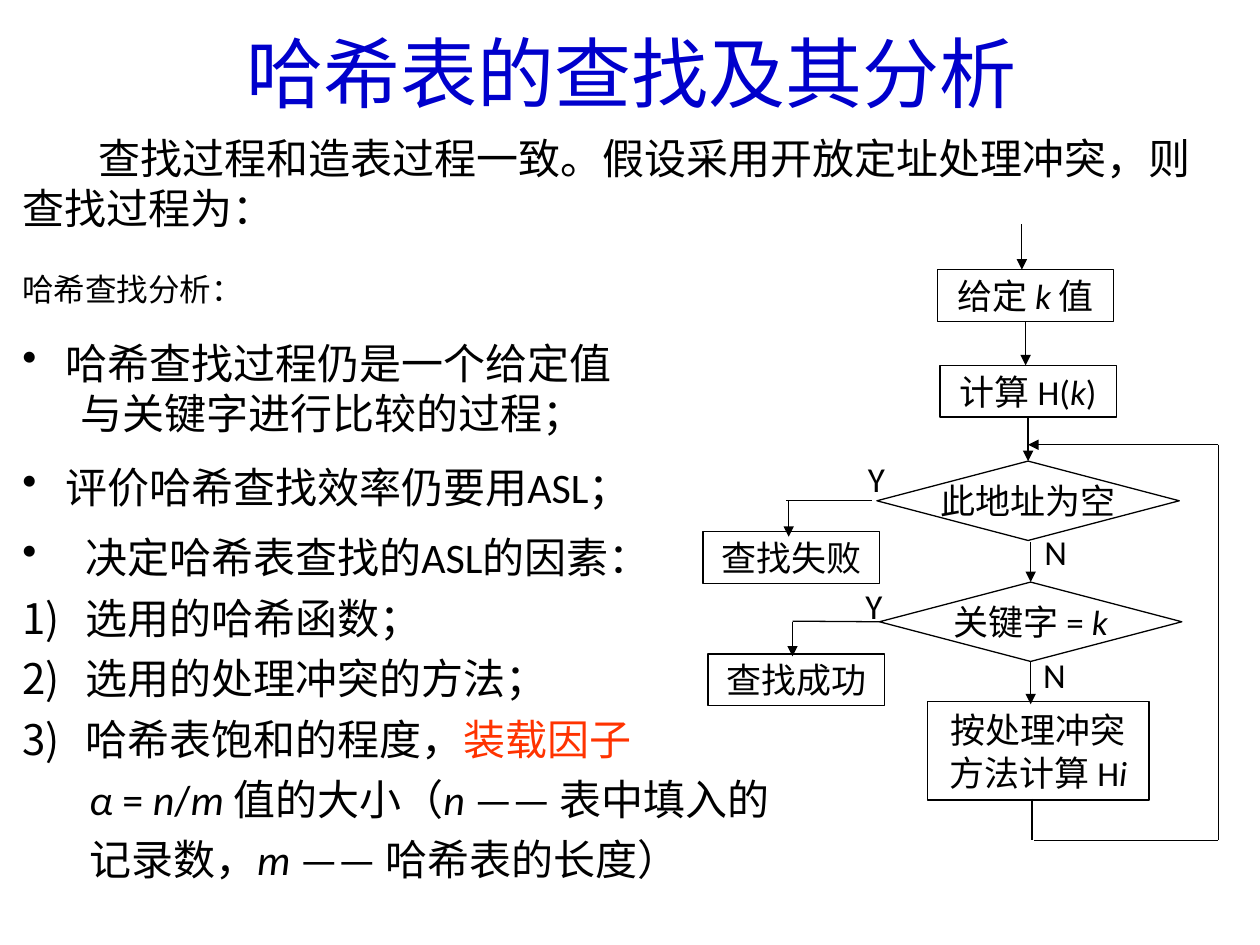
from lxml import etree
from pptx import Presentation
from pptx import util as u
from pptx.dml.color import RGBColor
from pptx.enum import shapes, text
from pptx.oxml.ns import qn

COLORS = {"title": "0000CC", "ink": "000000", "accent": "FF3300"}
BULLET = ("buChar", {"char": "•"})
NUMBER = ("buAutoNum", {"type": "arabicParenR"})
ITALIC = {"italic": True}

prs = Presentation()
prs.slide_width, prs.slide_height = u.Inches(10), u.Inches(7.5)
slide = prs.slides.add_slide(prs.slide_layouts[6])


def write(frame, paragraphs, size, color="ink", font="Calibri", frame_format=None, **paragraph_format):
    """Fill a frame; a paragraph is (left margin, first-line indent, bullet, runs), a run (text, font format)."""
    for name, value in (frame_format or {}).items():
        setattr(frame, name, value)
    for index, (margin, indent, bullet, runs) in enumerate(paragraphs):
        paragraph = frame.add_paragraph() if index else frame.paragraphs[0]
        properties = paragraph._p.get_or_add_pPr()
        properties.set("marL", str(u.Inches(margin)))
        properties.set("indent", str(u.Inches(indent)))
        if bullet:
            etree.SubElement(properties, qn("a:" + bullet[0]), bullet[1])
        for name, value in paragraph_format.items():
            setattr(paragraph, name, value)
        for words, run_format in runs:
            run = paragraph.add_run()
            run.text = words
            values = {"name": font, "size": u.Pt(size), "italic": False, **run_format}
            run.font.color.rgb = RGBColor.from_string(COLORS[values.pop("color", color)])
            for name, value in values.items():
                setattr(run.font, name, value)


def plain(words):
    return [(words, {})]


# Title and running text: box, size, paragraphs, extra format
text_blocks = [
    ((1.86, 0.15, 6.52, 0.84), 44, [(0, 0, None, plain("哈希表的查找及其分析"))],
     {"color": "title", "font": "Noto Sans CJK SC"}),
    ((0.08, 1, 9.71, 0.91), 24, [
        (0, 0.6, None, plain("查找过程和造表过程一致。假设采用开放定址处理冲突，则")),
        (0, 0, None, plain("查找过程为："))], {}),
    ((0.08, 2.09, 2.61, 0.5), 18, [(0, 0, None, plain("哈希查找分析："))], {}),
    ((0.08, 2.63, 5.19, 0.91), 24, [
        (0.34, -0.34, BULLET, plain("哈希查找过程仍是一个给定值")),
        (0.46, 0, None, plain("与关键字进行比较的过程；"))], {}),
    ((0.08, 3.61, 5.44, 0.5), 24, [
        (0.34, -0.34, BULLET, plain("评价哈希查找效率仍要用ASL；"))], {}),
    ((0.08, 4.09, 6.5, 2.98), 24, [
        (0.5, -0.5, BULLET, plain("决定哈希表查找的ASL的因素：")),
        (0.5, -0.5, NUMBER, plain("选用的哈希函数；")),
        (0.5, -0.5, NUMBER, plain("选用的处理冲突的方法；")),
        (0.5, -0.5, NUMBER, [("哈希表饱和的程度，", {}), ("装载因子", {"color": "accent"})]),
        (0.53, 0, None, [("α ", ITALIC), ("= ", {}), ("n", ITALIC), ("/", {}), ("m ", ITALIC),
                         ("值的大小（", {}), ("n", ITALIC), (" —— 表中填入的", {})]),
        (0.53, 0, None, [("记录数，", {}), ("m", ITALIC), (" —— 哈希表的长度）", {})])],
     {"line_spacing": 1.2}),
]
for box, size, paragraphs, extra in text_blocks:
    frame = slide.shapes.add_textbox(*map(u.Inches, box)).text_frame
    write(frame, paragraphs, size, frame_format={"word_wrap": True}, **extra)

# Flowchart steps
PROCESS = shapes.MSO_SHAPE.FLOWCHART_PROCESS
DECISION = shapes.MSO_SHAPE.FLOWCHART_DECISION
MIDDLE = {"word_wrap": False, "vertical_anchor": text.MSO_ANCHOR.MIDDLE}
step_specs = {
    "given": (PROCESS, (7.44, 2.14, 1.4, 0.41), [[("给定 ", {}), ("k ", ITALIC), ("值", {})]]),
    "compute": (PROCESS, (7.46, 2.9, 1.4, 0.41), [[("计算 H(", {}), ("k", ITALIC), (")", {})]]),
    "empty": (DECISION, (6.96, 3.66, 2.4, 0.63), [plain("此地址为空")]),
    "match": (DECISION, (6.98, 4.62, 2.4, 0.63), [[("关键字 = ", {}), ("k", ITALIC)]]),
    "failure": (PROCESS, (5.58, 4.22, 1.4, 0.41), [plain("查找失败")]),
    "success": (PROCESS, (5.62, 5.19, 1.4, 0.41), [plain("查找成功")]),
    "rehash": (PROCESS, (7.36, 5.57, 1.76, 0.78),
               [plain("按处理冲突"), [("方法计算 H", {}), ("i", ITALIC)]]),
}
steps = {}
for step_name, (kind, box, lines) in step_specs.items():
    step = steps[step_name] = slide.shapes.add_shape(kind, *map(u.Inches, box))
    step.shadow.inherit = False
    step.fill.background()
    step.line.color.rgb = RGBColor.from_string(COLORS["ink"])
    step.line.width = u.Pt(0.75)
    write(step.text_frame, [(0, 0, None, runs) for runs in lines], 20,
          frame_format=MIDDLE, alignment=text.PP_ALIGN.CENTER)

# Flow lines: start, end, arrowhead, joined start, joined end
TOP, LEFT, BOTTOM = 0, 1, 2
flow_lines = [
    ((8.11, 1.78), (8.11, 2.14), True, None, None),
    ((8.14, 2.55), (8.14, 2.9), True, ("given", BOTTOM), None),
    ((8.16, 3.31), (8.16, 3.66), True, ("compute", BOTTOM), ("empty", TOP)),
    ((8.18, 4.3), (8.18, 4.62), True, None, ("match", TOP)),
    ((8.18, 5.25), (8.18, 5.59), True, ("match", BOTTOM), None),
    ((6.92, 3.97), (6.24, 3.97), False, None, None),
    ((6.26, 3.97), (6.26, 4.26), True, None, None),
    ((6.98, 4.93), (6.29, 4.93), False, ("match", LEFT), None),
    ((6.29, 4.94), (6.29, 5.21), True, None, None),
    ((8.19, 6.34), (8.19, 6.67), False, None, None),
    ((8.21, 6.67), (9.67, 6.67), False, None, None),
    ((9.67, 6.67), (9.67, 3.53), False, None, None),
    ((9.67, 3.53), (8.16, 3.53), True, None, None),
]
for start, end, arrow, joined_start, joined_end in flow_lines:
    flow = slide.shapes.add_connector(shapes.MSO_CONNECTOR.STRAIGHT, *map(u.Inches, start + end))
    if joined_start:
        flow.begin_connect(steps[joined_start[0]], joined_start[1])
    if joined_end:
        flow.end_connect(steps[joined_end[0]], joined_end[1])
    flow.line.color.rgb = RGBColor.from_string(COLORS["ink"])
    flow.line.width = u.Pt(0.75)
    if arrow:
        etree.SubElement(flow.line._get_or_add_ln(), qn("a:tailEnd"), {"type": "triangle"})
    etree.SubElement(flow._element.spPr, qn("a:effectLst"))

# Branch labels
for answer, left, top in [("Y", 6.79, 3.58), ("N", 8.19, 4.16), ("Y", 6.77, 4.59), ("N", 8.18, 5.14)]:
    label = slide.shapes.add_textbox(*map(u.Inches, (left, top, 0.4, 0.43)))
    write(label.text_frame, [(0, 0, None, plain(answer))], 20, frame_format=MIDDLE)

prs.save("out.pptx")
